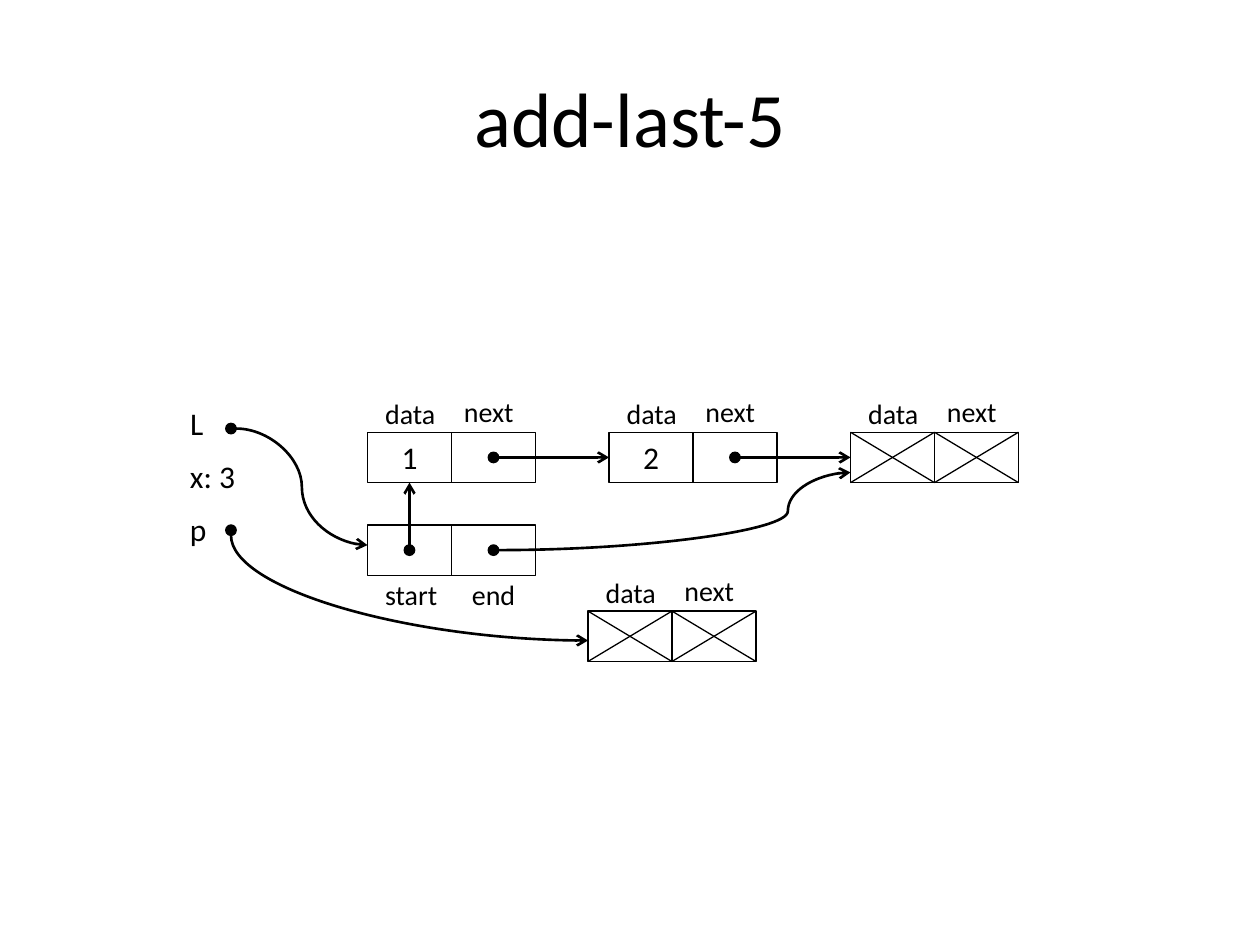
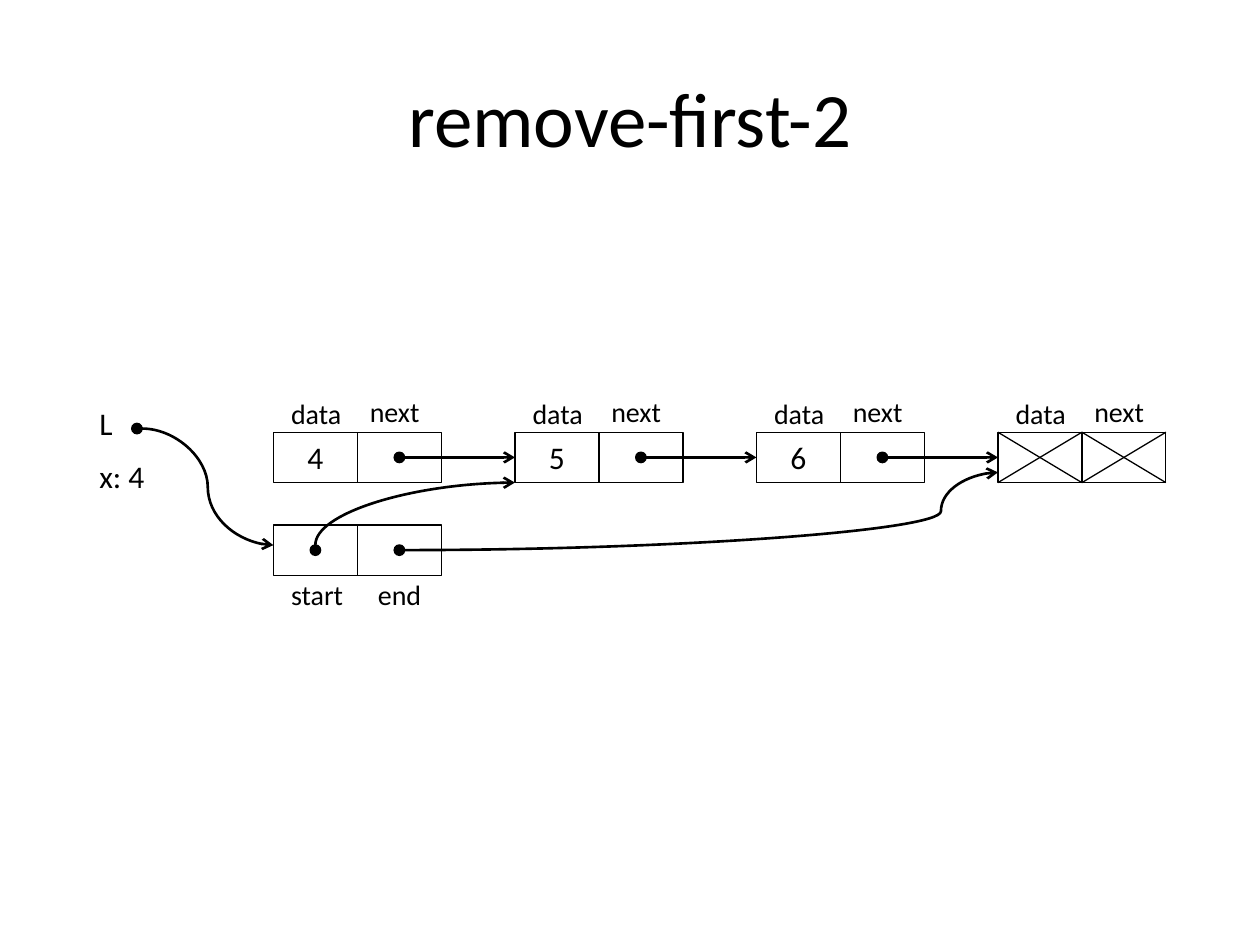
"""Build two linked-list diagrams: add-last-5 and remove-first-2."""
from dataclasses import dataclass

from lxml.etree import SubElement
from pptx import Presentation
from pptx.dml.color import RGBColor
from pptx.enum.shapes import MSO_CONNECTOR as LINE, MSO_SHAPE as SHAPE
from pptx.enum.text import MSO_ANCHOR as ANCHOR, MSO_AUTO_SIZE as FIT, PP_ALIGN as ALIGN
from pptx.oxml.ns import qn
from pptx.util import Pt

SLIDES = [
    {
        "title": "add-last-5",
        "left": 210,
        "var_left": 101.5,
        "vars": ["L", "x: 3", "p"],
        "data": ["1", "2", None],
        "start_node": 0,
        "end_bend": 0.822,
        "new_node": (336, 349.2),
    },
    {
        "title": "remove-first-2",
        "left": 156.25,
        "var_left": 49.7,
        "vars": ["L", "x: 4"],
        "data": ["4", "5", "6", None],
        "start_node": 1,
        "end_bend": 0.904,
        "new_node": None,
    },
]
NODE_LABELS = [("data", 3, -23.8, 43), ("next", 48, -25.2, 43)]
HEAD_LABELS = [("start", 3, 26.2, 44.6), ("end", 52.6, 26.2, 39.6)]
VAR_WIDTHS = [22.3, 40.3, 24.5]


@dataclass(frozen=True)
class Theme:
    """Shared font, colour, type sizes and line widths."""
    font: str = "Calibri"
    ink: RGBColor = RGBColor(0, 0, 0)
    title: int = 44
    value: int = 18
    label: int = 16
    thin: float = 0.75
    arrow: float = 1.5


T = Theme()
CELL_W, CELL_H = 48, 28.8
PITCH = 138
NODE_Y, HEAD_Y = 247, 300
VAR_Y, VAR_STEP = 227.5, 30.25
RADIUS = 3


def style(p, size, align=ALIGN.LEFT):
    """Format one paragraph."""
    p.alignment = align
    p.font.name, p.font.size, p.font.color.rgb = T.font, Pt(size), T.ink


def add_label(slide, text, x, y, w, size):
    """Add a one-line text box."""
    tf = slide.shapes.add_textbox(Pt(x), Pt(y), Pt(w), Pt(size * 1.22 + 7.2)).text_frame
    tf.word_wrap, tf.auto_size, tf.text = False, FIT.SHAPE_TO_FIT_TEXT, text
    style(tf.paragraphs[0], size)


def add_outlined(slide, kind, x, y, w, h):
    """Add a thinly outlined preset shape."""
    s = slide.shapes.add_shape(kind, Pt(x), Pt(y), Pt(w), Pt(h))
    s.shadow.inherit = False
    s.line.color.rgb, s.line.width = T.ink, Pt(T.thin)
    return s


def add_line(slide, kind, start, end, width):
    """Add a connector without shadow."""
    c = slide.shapes.add_connector(kind, *(Pt(v) for v in (*start, *end)))
    c.line.color.rgb, c.line.width = T.ink, Pt(width)
    SubElement(c._element.spPr, qn("a:effectLst"))
    return c


def add_arrow(slide, start, end, kind=LINE.CURVE, bend=0.5):
    """Add an arrow; a curved one bends at the given share of its width."""
    c = add_line(slide, kind, start, end, T.arrow)
    SubElement(c.line._get_or_add_ln(), qn("a:tailEnd"), type="arrow")
    if bend != 0.5:
        guides = c._element.spPr.find(qn("a:prstGeom")).get_or_add_avLst()
        SubElement(guides, qn("a:gd"), name="adj1", fmla=f"val {round(bend * 100000)}")
    return c


def add_quarter_arrow(slide, start, end):
    """Add an arrow that leaves vertically and arrives from the left."""
    (x1, y1), (x2, y2) = start, end
    side = 1 if y2 < y1 else -1
    mx, my = (x1 + x2) / 2, (y1 + y2) / 2
    w, h = abs(y2 - y1) / 2, side * (x2 - x1) / 2
    c = add_arrow(slide, (mx + w, my + h), (mx - w, my - h))
    c._element.spPr.find(qn("a:prstGeom")).set("prst", "curvedConnector2")
    c.rotation = 90 if side > 0 else 270


def add_dot(slide, x, y):
    """Add a pointer dot centred on a point."""
    s = add_outlined(slide, SHAPE.OVAL, x - RADIUS, y - RADIUS, 2 * RADIUS, 2 * RADIUS)
    s.fill.solid()
    s.fill.fore_color.rgb = T.ink


def add_pair(slide, x, y, labels, value="", crossed=False):
    """Add two labelled cells, crossed out if empty."""
    for left, text in ((x, value), (x + CELL_W, "")):
        s = add_outlined(slide, SHAPE.RECTANGLE, left, y, CELL_W, CELL_H)
        s.fill.background()
        if text:
            tf = s.text_frame
            tf.text, tf.vertical_anchor = text, ANCHOR.TOP
            style(tf.paragraphs[0], T.value, ALIGN.CENTER)
        if crossed:
            right, bottom = left + CELL_W, y + CELL_H
            add_line(slide, LINE.STRAIGHT, (left, y), (right, bottom), T.thin)
            add_line(slide, LINE.STRAIGHT, (right, y), (left, bottom), T.thin)
    for text, dx, dy, w in labels:
        add_label(slide, text, x + dx, y + dy, w, T.label)


def add_nodes(slide, left, data):
    """Add the chain of nodes and its next pointers."""
    for i, value in enumerate(data):
        x, y = left + i * PITCH, NODE_Y + CELL_H / 2
        add_pair(slide, x, NODE_Y, NODE_LABELS, value or "", value is None)
        if value is not None:
            dot_x = x + 1.5 * CELL_W
            add_dot(slide, dot_x, y)
            add_arrow(slide, (dot_x + RADIUS, y), (x + PITCH, y))


def add_head(slide, left, start_node, last_node, bend):
    """Add the list record with its start and end pointers."""
    add_pair(slide, left, HEAD_Y, HEAD_LABELS)
    y, node_bottom = HEAD_Y + CELL_H / 2, NODE_Y + CELL_H
    start_x, end_x = left + CELL_W / 2, left + 1.5 * CELL_W
    add_dot(slide, start_x, y)
    add_dot(slide, end_x, y)
    top = (start_x, y - RADIUS)
    if start_node:
        add_quarter_arrow(slide, top, (left + start_node * PITCH, node_bottom))
    else:
        add_arrow(slide, top, (start_x, node_bottom), LINE.STRAIGHT)
    add_arrow(slide, (end_x + RADIUS, y), (left + last_node * PITCH, NODE_Y + 23), bend=bend)


def add_variables(slide, left, var_left, names, new_node):
    """Add the variables and the pointers they hold."""
    for i, (name, w) in enumerate(zip(names, VAR_WIDTHS)):
        add_label(slide, name, var_left, VAR_Y + i * VAR_STEP, w, T.value)
    dot_x, list_y, new_y = left - 78, 244.9, 303
    add_dot(slide, dot_x, list_y)
    add_arrow(slide, (dot_x + RADIUS, list_y), (left, HEAD_Y + 11.5))
    if new_node:
        x, y = new_node
        add_pair(slide, x, y, NODE_LABELS, crossed=True)
        add_dot(slide, dot_x, new_y)
        add_quarter_arrow(slide, (dot_x, new_y + RADIUS), (x, y + 16.8))


def add_title(slide, text):
    """Place and format the title."""
    s = slide.shapes.title
    s.left, s.top, s.width, s.height = Pt(36), Pt(21.6), Pt(648), Pt(90)
    tf = s.text_frame
    tf.text, tf.vertical_anchor = text, ANCHOR.MIDDLE
    style(tf.paragraphs[0], T.title, ALIGN.CENTER)


def main():
    """Build and save the slides."""
    prs = Presentation()
    prs.slide_width, prs.slide_height = Pt(720), Pt(540)
    for d in SLIDES:
        slide = prs.slides.add_slide(prs.slide_layouts[5])
        add_title(slide, d["title"])
        add_nodes(slide, d["left"], d["data"])
        add_head(slide, d["left"], d["start_node"], len(d["data"]) - 1, d["end_bend"])
        add_variables(slide, d["left"], d["var_left"], d["vars"], d["new_node"])
    prs.save("out.pptx")


if __name__ == "__main__":
    main()
